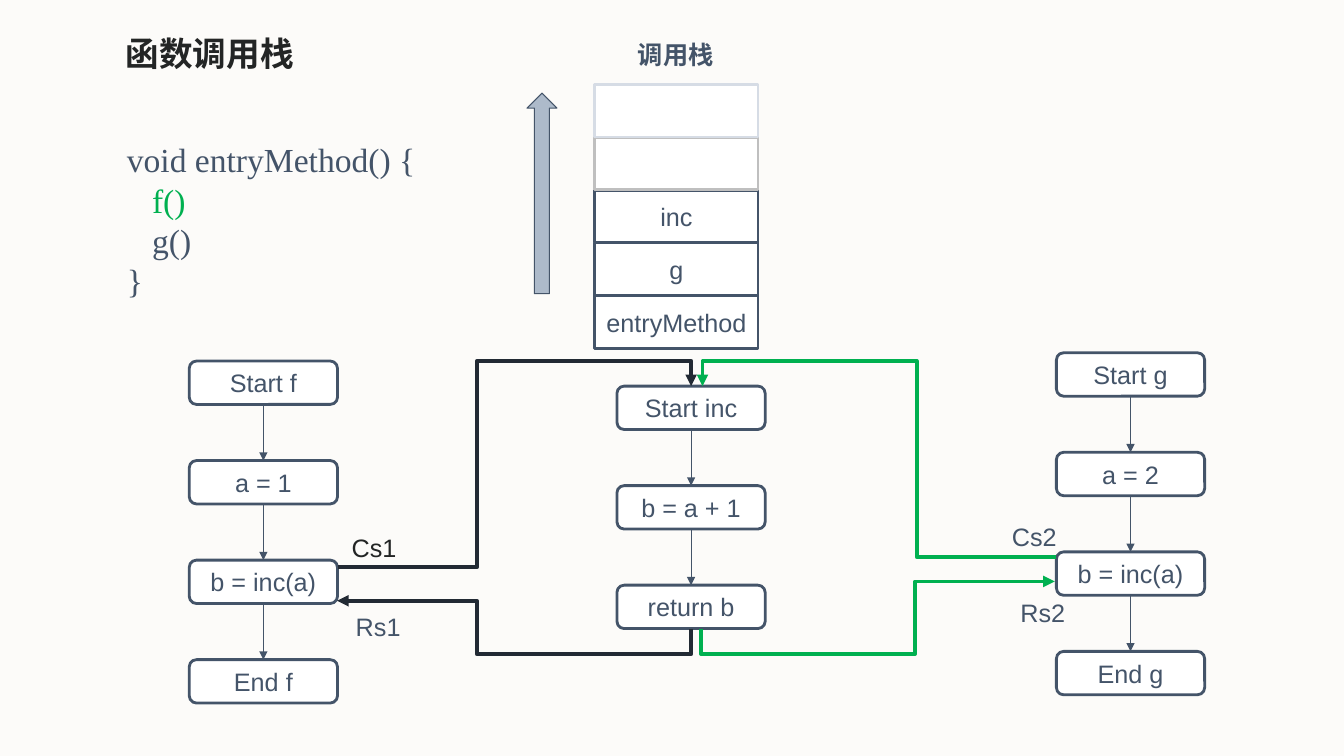
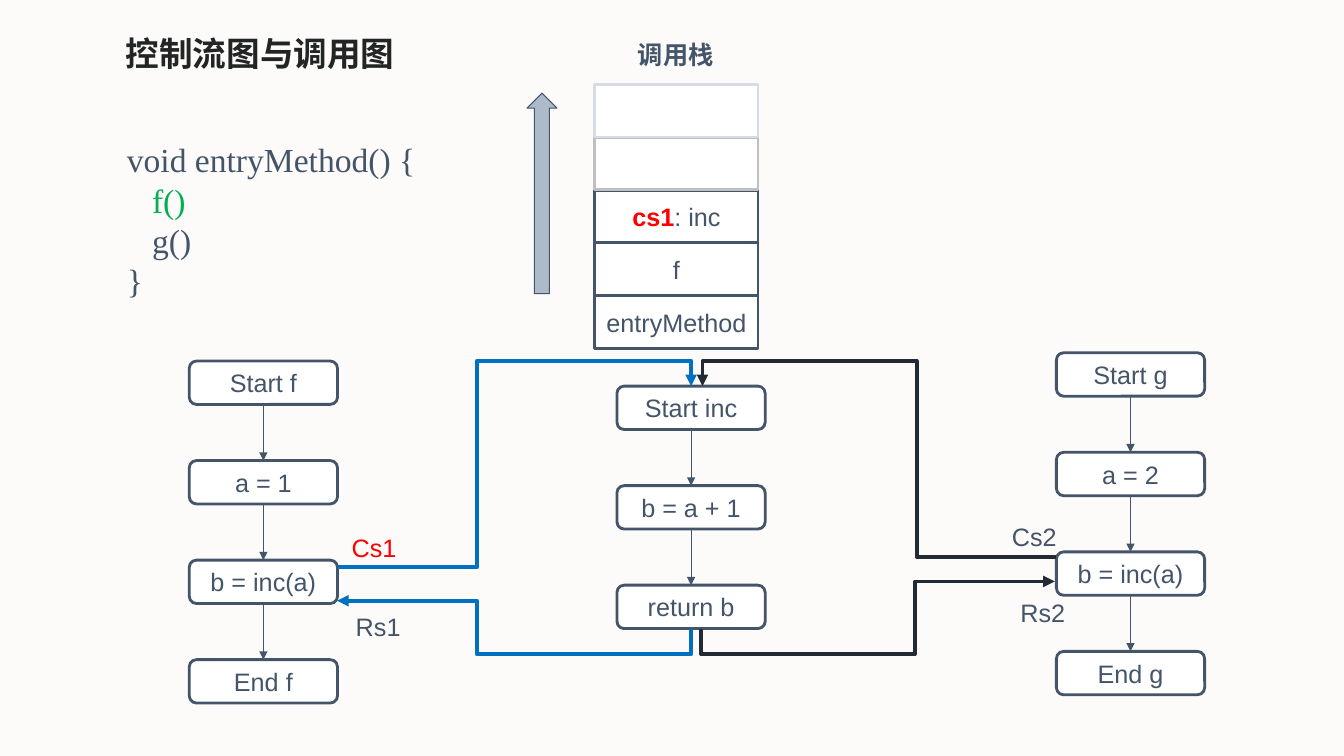
import pptx
import pptx.dml.color
import pptx.enum.shapes
import pptx.enum.text
import pptx.oxml
import pptx.oxml.ns
import pptx.util
from lxml import etree

Pt = pptx.util.Pt
RGBColor = pptx.dml.color.RGBColor
MSO_SHAPE = pptx.enum.shapes.MSO_SHAPE
MSO_CONNECTOR = pptx.enum.shapes.MSO_CONNECTOR
PP_ALIGN = pptx.enum.text.PP_ALIGN
MSO_ANCHOR = pptx.enum.text.MSO_ANCHOR
MSO_AUTO_SIZE = pptx.enum.text.MSO_AUTO_SIZE
qn = pptx.oxml.ns.qn

PAPER = RGBColor(0xFC, 0xFB, 0xF9)
WHITE = RGBColor(0xFF, 0xFF, 0xFF)
INK = RGBColor(0x23, 0x25, 0x25)
SLATE = RGBColor(0x44, 0x54, 0x69)
NAVY = RGBColor(0x22, 0x2A, 0x34)
GREEN = RGBColor(0x00, 0xB0, 0x50)
BLUE = RGBColor(0x00, 0x70, 0xC0)
RED = RGBColor(0xFF, 0x00, 0x00)
GREY = RGBColor(0xBF, 0xBF, 0xBF)
PALE = RGBColor(0xD6, 0xDC, 0xE5)
STEEL = RGBColor(0xAD, 0xBA, 0xCA)

SANS = "Arial"
SERIF = "Times New Roman"
CHINESE = "Noto Sans CJK SC"

NODE_WIDTH, NODE_HEIGHT, NODE_PITCH = 105.9, 31, 71.1
FRAME_LEFT, FRAME_TOP = 424.8, 60.5
FRAME_WIDTH, FRAME_HEIGHT, FRAME_PITCH = 116.7, 37.4, 37.7

FLOWS = [
    (135.2, 257.9, ["Start f", "a = 1", "b = inc(a)", "End f"]),
    (440.7, 275.8, ["Start inc", "b = a + 1", "return b"]),
    (754.6, 252, ["Start g", "a = 2", "b = inc(a)", "End g"]),
]
F_ROUTES = [
    ((241.2, 405.2), (340.6, 257.8), (493.7, 275.8), False),
    ((493.7, 449.2), (340.6, 467.3), (240.8, 429.1), True),
]
G_ROUTES = [
    ((754.6, 397.9), (654.8, 257.8), (501.8, 275.8), False),
    ((500.7, 449.2), (653.6, 467.3), (753.4, 415.4), True),
]


def write_lines(shape, lines, font_name=SANS, size=18, align=PP_ALIGN.LEFT):
    for index, pieces in enumerate(lines):
        text_frame = shape.text_frame
        paragraph = text_frame.paragraphs[0] if index == 0 else text_frame.add_paragraph()
        paragraph.alignment = align
        for text, color, bold in pieces:
            run = paragraph.add_run()
            run.text = text
            run.font.name = font_name
            run.font.size = Pt(size)
            run.font.bold = bold
            run.font.color.rgb = color
            east_asian = etree.SubElement(run.font._element, qn("a:ea"))
            east_asian.set("typeface", font_name)


def add_text(slide, left, top, width, height, lines, font_name=SANS, size=18, wrap=False):
    shape = slide.shapes.add_textbox(Pt(left), Pt(top), Pt(width), Pt(height))
    shape.text_frame.word_wrap = wrap
    shape.text_frame.auto_size = MSO_AUTO_SIZE.SHAPE_TO_FIT_TEXT
    write_lines(shape, lines, font_name, size)


def add_box(slide, kind, left, top, width, height, pieces=(), fill=WHITE, line=SLATE, weight=2):
    shape = slide.shapes.add_shape(kind, Pt(left), Pt(top), Pt(width), Pt(height))
    shape.shadow.inherit = False
    shape.fill.solid()
    shape.fill.fore_color.rgb = fill
    shape.line.color.rgb = line
    shape.line.width = Pt(weight)
    if pieces:
        shape.text_frame.vertical_anchor = MSO_ANCHOR.MIDDLE
        write_lines(shape, [pieces], align=PP_ALIGN.CENTER)


def style_arrow(connector, color, weight):
    connector.line.color.rgb = color
    connector.line.width = Pt(weight)
    line = connector.line._get_or_add_ln()
    etree.SubElement(line, qn("a:tailEnd")).set("type", "triangle")
    etree.SubElement(connector._element.spPr, qn("a:effectLst"))


def add_route(slide, start, bend, end, starts_vertical, color):
    run, rise = end[0] - start[0], end[1] - start[1]
    ratios = [(bend[0] - start[0]) / run, (bend[1] - start[1]) / rise]
    width, height = abs(run), abs(rise)
    rotation = 180 if run < 0 else 0
    if starts_vertical:
        ratios.reverse()
        width, height = height, width
        rotation = 90
    connector = slide.shapes.add_connector(MSO_CONNECTOR.ELBOW, 0, 0, 0, 0)
    connector.left = Pt((start[0] + end[0] - width) / 2)
    connector.top = Pt((start[1] + end[1] - height) / 2)
    connector.width, connector.height = Pt(width), Pt(height)
    properties = connector._element.spPr
    transform = properties.find(qn("a:xfrm"))
    transform.set("rot", str(rotation * 60000))
    transform.set("flipH", str(int(starts_vertical)))
    transform.set("flipV", str(int(run > 0)))
    geometry = properties.find(qn("a:prstGeom"))
    geometry.set("prst", "bentConnector4")
    adjustments = geometry.find(qn("a:avLst"))
    for number, ratio in enumerate(ratios, 1):
        guide = etree.SubElement(adjustments, qn("a:gd"))
        guide.set("name", f"adj{number}")
        guide.set("fmla", f"val {round(ratio * 100000)}")
    style_arrow(connector, color, 2.75)


def add_flow(slide, left, top, labels):
    center = left + NODE_WIDTH / 2
    for index, label in enumerate(labels):
        node_top = top + index * NODE_PITCH
        add_box(slide, MSO_SHAPE.ROUNDED_RECTANGLE, left, node_top, NODE_WIDTH, NODE_HEIGHT,
                [(label, SLATE, False)])
        if index:
            connector = slide.shapes.add_connector(
                MSO_CONNECTOR.STRAIGHT, Pt(center), Pt(node_top - NODE_PITCH + NODE_HEIGHT),
                Pt(center), Pt(node_top))
            style_arrow(connector, SLATE, 0.75)


def add_call_stack(slide, frames):
    add_text(slide, 448.6, 24.5, 69, 29, [[("调用栈", SLATE, True)]])
    add_box(slide, MSO_SHAPE.UP_ARROW, 376.4, 66.5, 21.4, 143.3, fill=STEEL, weight=0.75)
    rows = [([], PALE), ([], GREY)] + [(pieces, SLATE) for pieces in frames]
    for index, (pieces, line) in reversed(list(enumerate(rows))):
        add_box(slide, MSO_SHAPE.RECTANGLE, FRAME_LEFT, FRAME_TOP + index * FRAME_PITCH,
                FRAME_WIDTH, FRAME_HEIGHT, pieces, line=line)


def add_call_slide(presentation, title, frames, f_color, g_color, cs1_color):
    slide = presentation.slides.add_slide(presentation.slide_layouts[6])
    add_text(slide, 82.8, 20.2, 379.4, 36, [[(title, INK, True)]], CHINESE, 24, True)
    for left, top, labels in FLOWS:
        add_flow(slide, left, top, labels)
    for routes, color in ((F_ROUTES, f_color), (G_ROUTES, g_color)):
        for route in routes:
            add_route(slide, *route, color)
    for left, top, label, color in (
        (244.1, 376.6, "Cs1", cs1_color),
        (715.7, 368.6, "Cs2", SLATE),
        (247, 433.4, "Rs1", SLATE),
        (721.8, 423.2, "Rs2", SLATE),
    ):
        add_text(slide, left, top, 46.8, 29, [[(label, color, False)]])
    code = [("void entryMethod() {", SLATE), ("   f()", GREEN), ("   g()", SLATE), ("}", SLATE)]
    add_text(slide, 83.5, 95.8, 222.5, 123.8,
             [[(text, color, False)] for text, color in code], SERIF, 24)
    add_call_stack(slide, frames)


def main():
    presentation = pptx.Presentation()
    presentation.slide_width, presentation.slide_height = Pt(960), Pt(540)
    background = presentation.slide_master.background.fill
    background.solid()
    background.fore_color.rgb = PAPER
    entry = [("entryMethod", SLATE, False)]
    add_call_slide(presentation, "函数调用栈",
                   [[("inc", SLATE, False)], [("g", SLATE, False)], entry],
                   NAVY, GREEN, INK)
    add_call_slide(presentation, "控制流图与调用图",
                   [[("cs1", RED, True), (": inc", SLATE, False)], [("f", SLATE, False)], entry],
                   BLUE, NAVY, RED)
    presentation.save("out.pptx")


if __name__ == "__main__":
    main()
